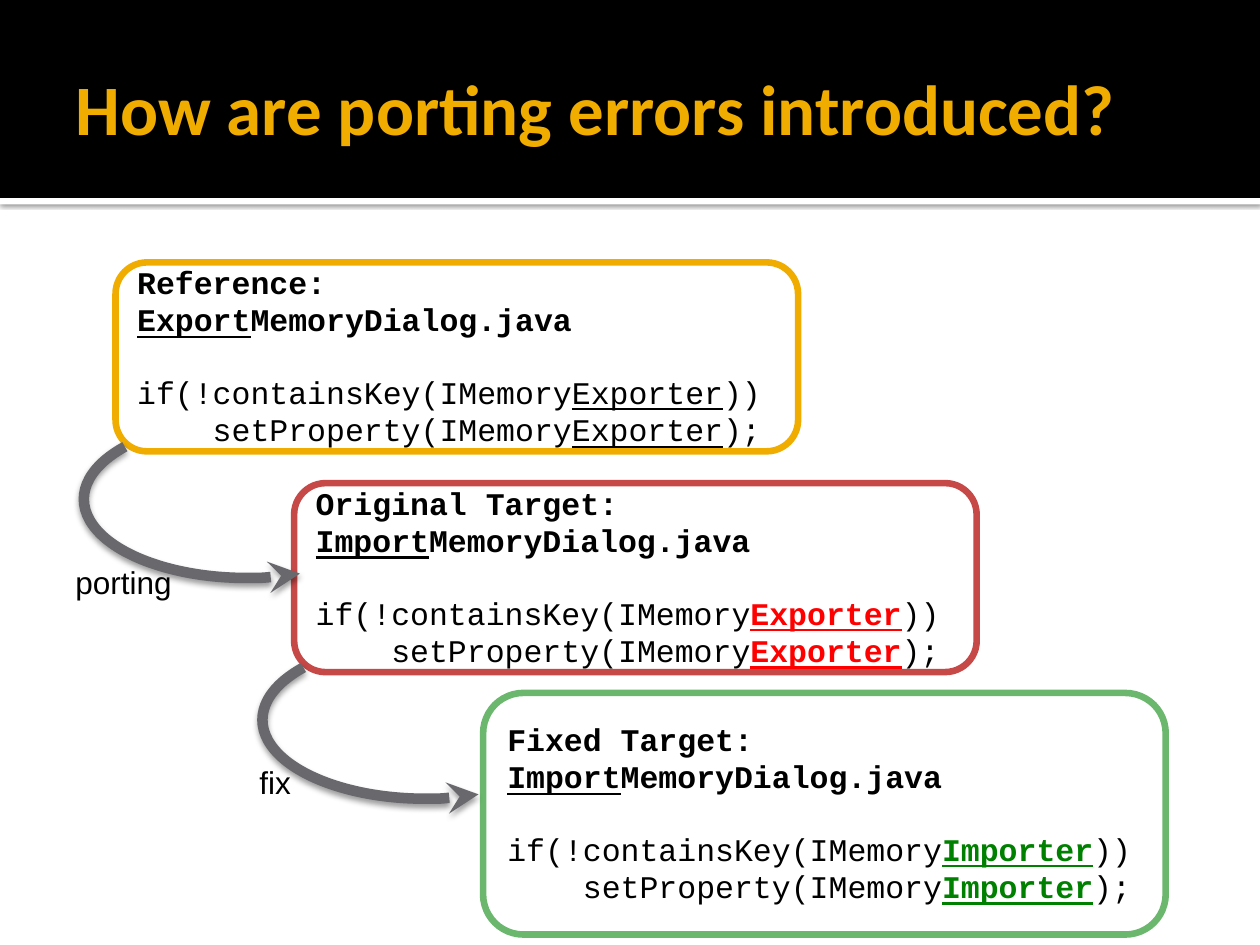
from dataclasses import dataclass
from typing import Optional

from lxml import etree
from pptx import Presentation
from pptx.dml.color import RGBColor
from pptx.enum.shapes import MSO_SHAPE
from pptx.enum.text import MSO_ANCHOR, PP_ALIGN
from pptx.oxml.ns import qn
from pptx.util import Cm, Pt

RECTANGLE = MSO_SHAPE.RECTANGLE
ROUNDED = MSO_SHAPE.ROUNDED_RECTANGLE
ARC = MSO_SHAPE.ARC
MIDDLE, TOP = MSO_ANCHOR.MIDDLE, MSO_ANCHOR.TOP
LEFT = PP_ALIGN.LEFT

BLACK, WHITE, GOLD, GREY = "000000", "FFFFFF", "F0AD00", "68686D"
CODE = {"name": "Courier New", "size": Pt(18)}
LABEL = {"name": "Arial", "size": Pt(18)}
TITLE = {"name": "Calibri", "size": Pt(40.5), "bold": True}
LINE_SPACING = 0.99


@dataclass
class Span:
    text: str
    color: str = BLACK
    bold: bool = False
    underline: bool = False


@dataclass
class CodeCard:
    left: float
    top: float
    height: float
    border: str
    heading: list[list[Span]]
    name: Span
    step: Optional[str] = None
    step_left: float = 0
    step_top: float = 0


def rgb(color: str) -> RGBColor:
    return RGBColor.from_string(color)


def add_shape(page, kind, left: float, top: float, width: float, height: float,
              fill: Optional[str] = None, line: Optional[str] = None,
              line_width: float = 0):
    shape = page.shapes.add_shape(kind, Cm(left), Cm(top), Cm(width), Cm(height))
    shape.shadow.inherit = False
    if fill:
        shape.fill.solid()
        shape.fill.fore_color.rgb = rgb(fill)
    else:
        shape.fill.background()
    if line:
        shape.line.color.rgb = rgb(line)
        shape.line.width = Pt(line_width)
    else:
        shape.line.fill.background()
    return shape


def add_shadow(shape, opacity: int, blur: float, distance: float) -> None:
    effects = shape._element.spPr.find(qn("a:effectLst"))
    shadow = etree.SubElement(effects, qn("a:outerShdw"), blurRad=str(Pt(blur)),
                              dist=str(Pt(distance)), dir="5400000", rotWithShape="0")
    color = etree.SubElement(shadow, qn("a:srgbClr"), val=BLACK)
    etree.SubElement(color, qn("a:alpha"), val=str(opacity * 1000))


def write_line(para, spans: list[Span], font: dict, spacing: float = LINE_SPACING) -> None:
    para.alignment = LEFT
    para.line_spacing = spacing
    for span in spans:
        run = para.add_run()
        run.text = span.text
        formats = {"bold": span.bold, "underline": span.underline, **font}
        for attribute, value in formats.items():
            setattr(run.font, attribute, value)
        run.font.color.rgb = rgb(span.color)


def add_text(page, left: float, top: float, width: float, height: float,
             span: Span, font: dict, wrap: bool, anchor):
    box = page.shapes.add_textbox(Cm(left), Cm(top), Cm(width), Cm(height))
    box.text_frame.word_wrap = wrap
    box.text_frame.vertical_anchor = anchor
    write_line(box.text_frame.paragraphs[0], [span], font, 1.0 if wrap else 0.93)
    return box


def add_card(page, card: CodeCard) -> None:
    box = add_shape(page, ROUNDED, card.left, card.top, 13.76, card.height,
                    WHITE, card.border, 3.78)
    frame = box.text_frame
    frame.word_wrap = True
    frame.vertical_anchor = MIDDLE
    code = [[Span("if(!containsKey(IMemory"), card.name, Span("))")],
            [Span("    setProperty(IMemory"), card.name, Span(");")]]
    for index, spans in enumerate(card.heading + code):
        para = frame.paragraphs[0] if index == 0 else frame.add_paragraph()
        if index == len(card.heading):
            para.space_before = Pt(20)
        write_line(para, spans, CODE)


def add_step(page, card: CodeCard) -> None:
    """Curved arrow from this card to the next one."""
    arrow = add_shape(page, ARC, card.left - 0.64, card.top + 3.18, 6.56, 3.18,
                      line=GREY, line_width=6)
    arrow.rotation = 180
    arrow.adjustments[0] = 140.63
    arrow.adjustments[1] = 13.97
    etree.SubElement(arrow.line._get_or_add_ln(), qn("a:headEnd"), type="stealth")
    add_shadow(arrow, 38, 3.5, 2)


def file_name(prefix: str) -> list[Span]:
    return [Span(prefix, bold=True, underline=True),
            Span("MemoryDialog.java", bold=True)]


def changed(text: str, color: str) -> Span:
    return Span(text, color, bold=True, underline=True)


CARDS = [
    CodeCard(2.33, 5.29, 3.81, GOLD,
             [[Span("Reference: ", bold=True)] + file_name("Export")],
             Span("Exporter", underline=True), "porting", 1.27, 11.3),
    CodeCard(5.93, 9.74, 3.81, "C64847",
             [[Span("Original Target:", bold=True)], file_name("Import")],
             changed("Exporter", "FF0000"), "fix", 4.98, 15.32),
    CodeCard(9.74, 13.97, 4.87, "6BB76D",
             [[Span("Fixed Target:", bold=True)], file_name("Import")],
             changed("Importer", "008000")),
]


def main() -> None:
    deck = Presentation()
    deck.slide_width, deck.slide_height = Cm(25.4), Cm(19.05)
    page = deck.slides.add_slide(deck.slide_layouts[6])

    # Title band
    stripe = add_shape(page, RECTANGLE, 0, 3.99, 25.4, 0.13, WHITE)
    add_shadow(stripe, 60, 2.5, 0.8)
    add_shape(page, RECTANGLE, 0, 0, 25.4, 3.99, BLACK)
    title = add_text(page, 1.27, 0.43, 22.86, 3.48,
                     Span("How are porting errors introduced?", GOLD), TITLE, True, MIDDLE)
    title.text_frame.margin_right = Cm(0.13)

    # Code cards
    for card in CARDS:
        add_card(page, card)

    # Arrows and their labels
    steps = [card for card in CARDS if card.step]
    for card in steps:
        add_step(page, card)
    for card in steps:
        add_text(page, card.step_left, card.step_top, 0.64 + 0.26 * len(card.step), 0.99,
                 Span(card.step), LABEL, False, TOP)

    deck.save("out.pptx")


if __name__ == "__main__":
    main()
